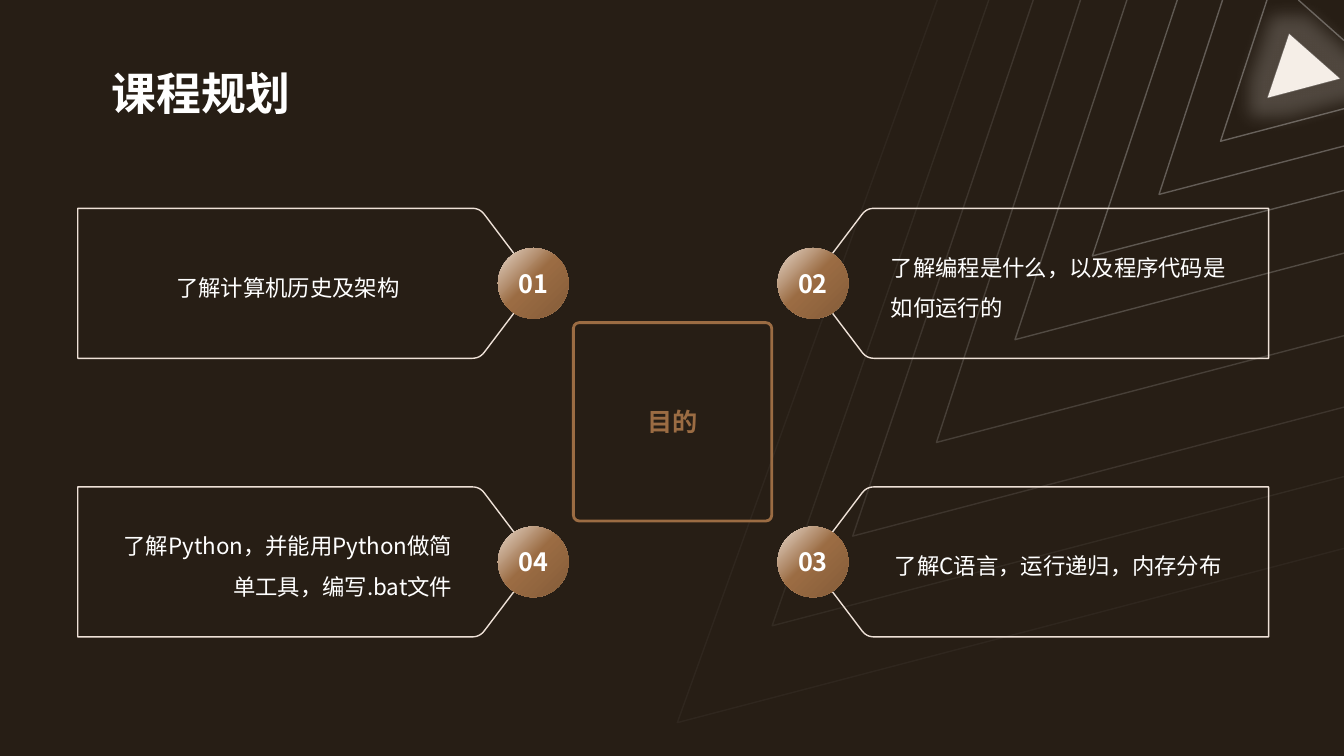
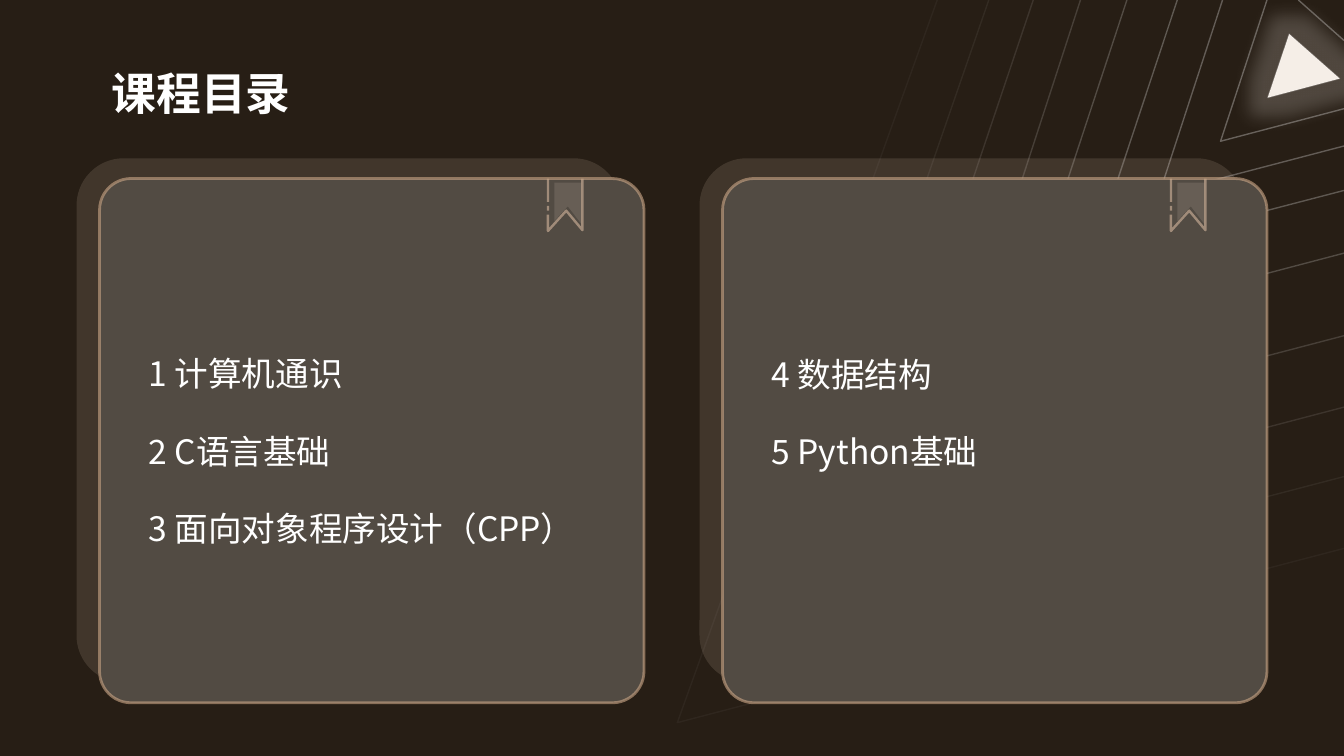
from lxml.etree import SubElement
from pptx import Presentation
from pptx.dml.color import RGBColor
from pptx.enum.shapes import MSO_CONNECTOR, MSO_SHAPE
from pptx.enum.text import MSO_ANCHOR, PP_ALIGN
from pptx.oxml.ns import qn
from pptx.util import Cm, Pt

LEFT, CENTER, RIGHT = PP_ALIGN.LEFT, PP_ALIGN.CENTER, PP_ALIGN.RIGHT
MIDDLE, BOTTOM = MSO_ANCHOR.MIDDLE, MSO_ANCHOR.BOTTOM
ROUND_RECT, OVAL = MSO_SHAPE.ROUNDED_RECTANGLE, MSO_SHAPE.OVAL
STRAIGHT = MSO_CONNECTOR.STRAIGHT

COLORS = {
    "background": "271E15", "white": "FFFFFF", "cream": "F5EEE7",
    "outline": "EEE1D7", "bronze": "9B6C43", "light_bronze": "E9DACD",
    "dark_bronze": "845C39", "sand": "DCC4AF", "border": "CBA686",
}
TITLE_FONT, BODY_FONT = "Arial", "Noto Sans CJK SC"
SLIDE_W, SLIDE_H = 33.87, 19.05

# Nested rays: height at right edge, corner x, corner y, x at top edge, opacity
RAYS = [
    (2.74, 30.76, 3.56, 31.93, 30), (3.68, 29.21, 4.9, 30.81, 28),
    (4.8, 27.53, 6.45, 29.67, 25), (6.38, 25.58, 8.56, 28.4, 20),
    (8.46, 23.6, 11.15, 27.23, 15), (10.26, 21.49, 13.51, 26.04, 10),
    (12.01, 19.46, 15.77, 24.92, 5), (13.82, 17.07, 18.21, 23.62, 3),
]
CALLOUT_H, SHOULDER, TIP, BADGE_X, BADGE_D = 3.78, 10.13, 11.56, 11.48, 1.78
CARD_Y, CARD_W, CARD_H = 4.5, 13.72, 13.21


def rgb(name):
    return RGBColor.from_string(COLORS[name])


def set_alpha(parent, percent):
    """Set the opacity of the solid colour directly inside an XML element."""
    color = parent.find(qn("a:solidFill") + "/" + qn("a:srgbClr"))
    SubElement(color, qn("a:alpha"), val=str(percent * 1000))


def stroke(shape, color, width=1, alpha=100):
    shape.line.color.rgb = rgb(color)
    shape.line.width = Pt(width)
    if alpha < 100:
        set_alpha(shape.element.spPr.find(qn("a:ln")), alpha)


def paint(shape, fill=None, alpha=100):
    """Give a fill or none, with no line and no shadow."""
    shape.shadow.inherit = False
    shape.line.fill.background()
    if fill is None:
        shape.fill.background()
        return
    shape.fill.solid()
    shape.fill.fore_color.rgb = rgb(fill)
    if alpha < 100:
        set_alpha(shape.element.spPr, alpha)


def put_text(shape, lines, size=16, color="white", bold=False, font=BODY_FONT,
             align=LEFT, anchor=MIDDLE, insets=(0, 0, 0, 0), spacing=None,
             before=None):
    """Write one paragraph per line; insets run left, top, right, bottom in cm."""
    tf = shape.text_frame
    tf.word_wrap = True
    tf.vertical_anchor = anchor
    tf.margin_left, tf.margin_top, tf.margin_right, tf.margin_bottom = map(Cm, insets)
    for i, line in enumerate(lines):
        p = tf.add_paragraph() if i else tf.paragraphs[0]
        p.alignment = align
        p.line_spacing = spacing
        if before is not None:
            p.space_before = Pt(before)
        r = p.add_run()
        r.text = line
        r.font.size, r.font.bold = Pt(size), bold
        r.font.color.rgb = rgb(color)
        r.font.name = font
        SubElement(r._r.get_or_add_rPr(), qn("a:ea"), typeface=BODY_FONT)


def add_preset(s, kind, x, y, w, h, radius=None):
    shape = s.shapes.add_shape(kind, Cm(x), Cm(y), Cm(w), Cm(h))
    if radius is not None:
        shape.adjustments[0] = radius
    paint(shape)
    return shape


def add_outline(s, points, close=False):
    pts = [(Cm(x), Cm(y)) for x, y in points]
    builder = s.shapes.build_freeform(*pts[0])
    builder.add_line_segments(pts[1:], close=close)
    shape = builder.convert_to_shape()
    paint(shape)
    return shape


def add_line(s, x1, y1, x2, y2, **line):
    c = s.shapes.add_connector(STRAIGHT, Cm(x1), Cm(y1), Cm(x2), Cm(y2))
    stroke(c, **line)
    SubElement(c.element.spPr, qn("a:effectLst"))
    return c


def add_glow(shape, color, radius, alpha):
    effects = shape.element.spPr.find(qn("a:effectLst"))
    glow = SubElement(effects, qn("a:glow"), rad=str(Pt(radius)))
    clr = SubElement(glow, qn("a:srgbClr"), val=COLORS[color])
    SubElement(clr, qn("a:alpha"), val=str(alpha * 1000))


def round_corner(before, corner, after, radius=0.19, steps=6):
    """Return points of a curve that replaces a sharp corner."""
    def toward(end):
        dx, dy = end[0] - corner[0], end[1] - corner[1]
        k = radius / (dx * dx + dy * dy) ** 0.5
        return corner[0] + dx * k, corner[1] + dy * k

    a, b = toward(before), toward(after)
    return [tuple((1 - t) ** 2 * a[i] + 2 * t * (1 - t) * corner[i] + t * t * b[i]
                  for i in (0, 1))
            for t in (n / steps for n in range(steps + 1))]


def decorate_layout(layout, s):
    """Style the layout; its shapes are drawn on s, then moved to the layout."""
    layout.background.fill.solid()
    layout.background.fill.fore_color.rgb = rgb("background")
    title = layout.placeholders[0]
    title.left, title.top, title.width, title.height = map(Cm, (2.81, 1, 29.12, 2))

    triangle = add_outline(s, [(32.49, 0.86), (33.76, 1.98), (31.95, 2.46)], close=True)
    paint(triangle, "cream")
    stroke(triangle, "white", alpha=20)
    add_glow(triangle, "cream", radius=25, alpha=20)
    shapes = [triangle, add_line(s, 32.72, 0, SLIDE_W, 1.02, color="white", alpha=30)]
    for right_y, x, y, top_x, alpha in RAYS:
        ray = add_outline(s, [(SLIDE_W, right_y), (x, y), (top_x, 0)])
        stroke(ray, "white", alpha=alpha)
        shapes.append(ray)
    for i, shape in enumerate(shapes):
        shape.element.xpath(".//p:cNvPr")[0].set("id", str(100 + i))
        layout.shapes.element.append(shape.element)


def set_title(s, text):
    put_text(s.shapes.title, [text], size=32, bold=True, font=TITLE_FONT,
             anchor=BOTTOM)


def add_badge(s, cx, cy, number):
    badge = add_preset(s, OVAL, cx - BADGE_D / 2, cy - BADGE_D / 2, BADGE_D, BADGE_D)
    badge.fill.gradient()
    badge.fill.gradient_angle = 315
    stops = badge.element.spPr.find(".//" + qn("a:gsLst"))
    stops.clear()
    for pos, color in ((0, "light_bronze"), (47, "bronze"), (100, "dark_bronze")):
        stop = SubElement(stops, qn("a:gs"), pos=str(pos * 1000))
        SubElement(stop, qn("a:srgbClr"), val=COLORS[color])
    put_text(badge, [number], size=18, bold=True, align=CENTER)


def add_callout(s, outer, top, side, number, text):
    """Draw a pointed box from its outer edge; side is 1 pointing right, -1 left."""
    mid, bottom = top + CALLOUT_H / 2, top + CALLOUT_H
    shoulder, tip = outer + side * SHOULDER, outer + side * TIP
    corners = [(outer, top), (shoulder, top), (tip, mid), (shoulder, bottom),
               (outer, bottom)]
    points = [corners[0]]
    for trio in zip(corners, corners[1:], corners[2:]):
        points += round_corner(*trio)
    box = add_outline(s, points + [corners[-1]], close=True)
    stroke(box, "outline")
    insets = (0.89, 0, 1.8, 0.13) if side > 0 else (1.8, 0, 0.89, 0.13)
    put_text(box, [text], align=RIGHT if side > 0 else LEFT, insets=insets,
             spacing=1.5)
    box.element.find(".//" + qn("a:bodyPr")).set("anchorCtr", "1")
    add_badge(s, outer + side * BADGE_X, mid, number)


def add_bookmark(s, x, y):
    def shifted(points):
        return [(x + dx, y + dy) for dx, dy in points]

    ribbon = add_outline(s, shifted([(0.16, 0.1), (0.84, 0.1), (0.84, 1.14),
                                     (0.5, 0.7), (0.16, 1.07)]), close=True)
    paint(ribbon, "sand", 15)
    border = {"color": "border", "width": 1.75, "alpha": 60}
    edge = add_outline(s, shifted([(0.87, 0), (0.87, 1.3), (0.46, 0.81),
                                   (0, 1.32), (0, 0.91)]))
    stroke(edge, **border)
    for start, end in ((0.69, 0.81), (0, 0.59)):
        add_line(s, x, y + start, x, y + end, **border)


def add_card(s, x, lines, bottom_inset=0):
    back = add_preset(s, ROUND_RECT, x - 0.58, CARD_Y - 0.51, CARD_W, CARD_H, 0.09)
    paint(back, "sand", 15)
    base = add_preset(s, ROUND_RECT, x, CARD_Y, CARD_W, CARD_H, 0.06)
    paint(base, "background")
    add_bookmark(s, x + 11.3, CARD_Y)
    glass = add_preset(s, ROUND_RECT, x, CARD_Y, CARD_W, CARD_H, 0.06)
    paint(glass, "white", 20)
    stroke(glass, "border", 2, 60)
    put_text(glass, lines, size=24, insets=(1, 0, 1, bottom_inset), spacing=1.5,
             before=12)


def build_plan(s):
    set_title(s, "课程规划")
    left, right, upper, lower = 1.96, 31.97, 5.25, 12.27
    add_callout(s, left, upper, 1, "01", "了解计算机历史及架构")
    add_callout(s, right, upper, -1, "02", "了解编程是什么，以及程序代码是如何运行的")
    add_callout(s, right, lower, -1, "03", "了解C语言，运行递归，内存分布")
    add_callout(s, left, lower, 1, "04",
                "了解Python，并能用Python做简单工具，编写.bat文件")
    goal = add_preset(s, ROUND_RECT, 14.45, 8.13, 5, 5, 0.03)
    stroke(goal, "bronze", 2)
    put_text(goal, ["目的"], size=18, color="bronze", bold=True, align=CENTER)


def build_contents(s):
    set_title(s, "课程目录")
    add_card(s, 2.51, ["1 计算机通识", "2 C语言基础", "3 面向对象程序设计（CPP）"])
    add_card(s, 18.21, ["4 数据结构", "5 Python基础"], bottom_inset=1.94)


def main():
    prs = Presentation()
    prs.slide_width, prs.slide_height = Cm(SLIDE_W), Cm(SLIDE_H)
    layout = prs.slide_layouts[5]
    plan, contents = (prs.slides.add_slide(layout) for _ in range(2))
    decorate_layout(layout, plan)
    build_plan(plan)
    build_contents(contents)
    prs.save("out.pptx")


if __name__ == "__main__":
    main()
